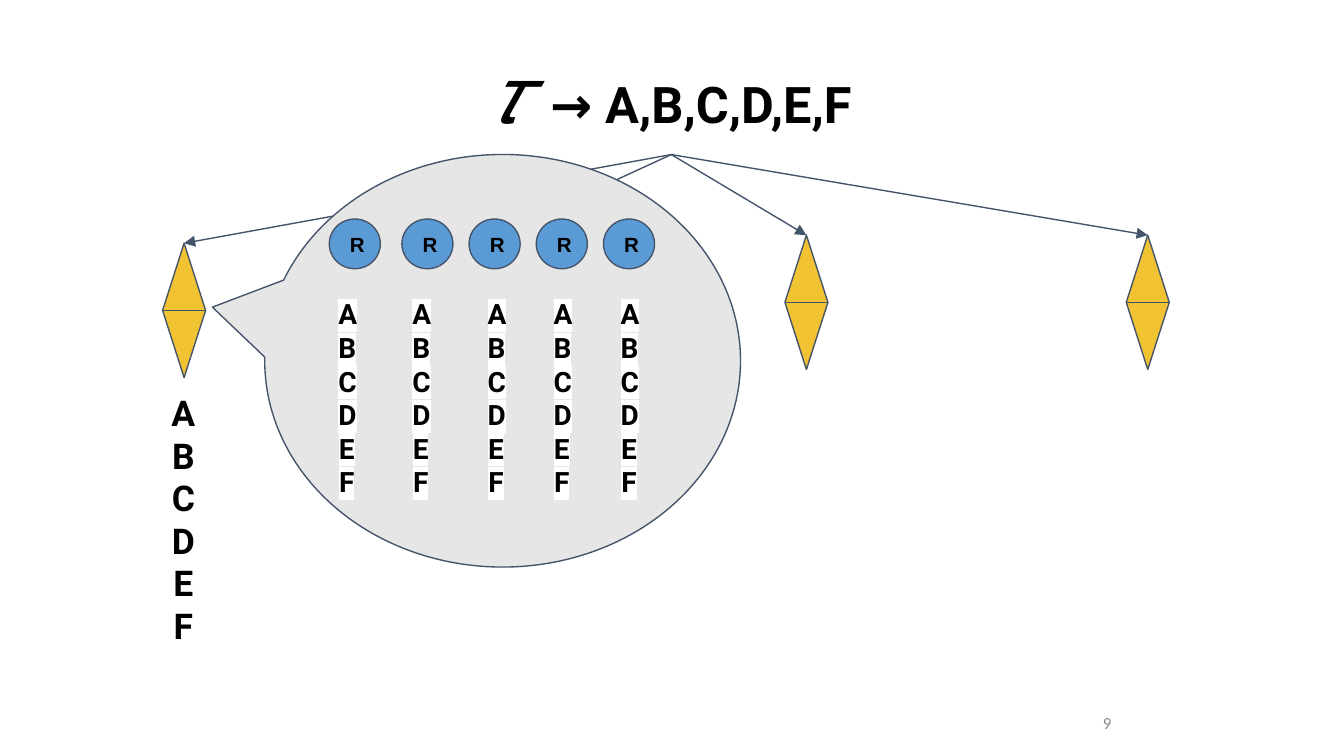
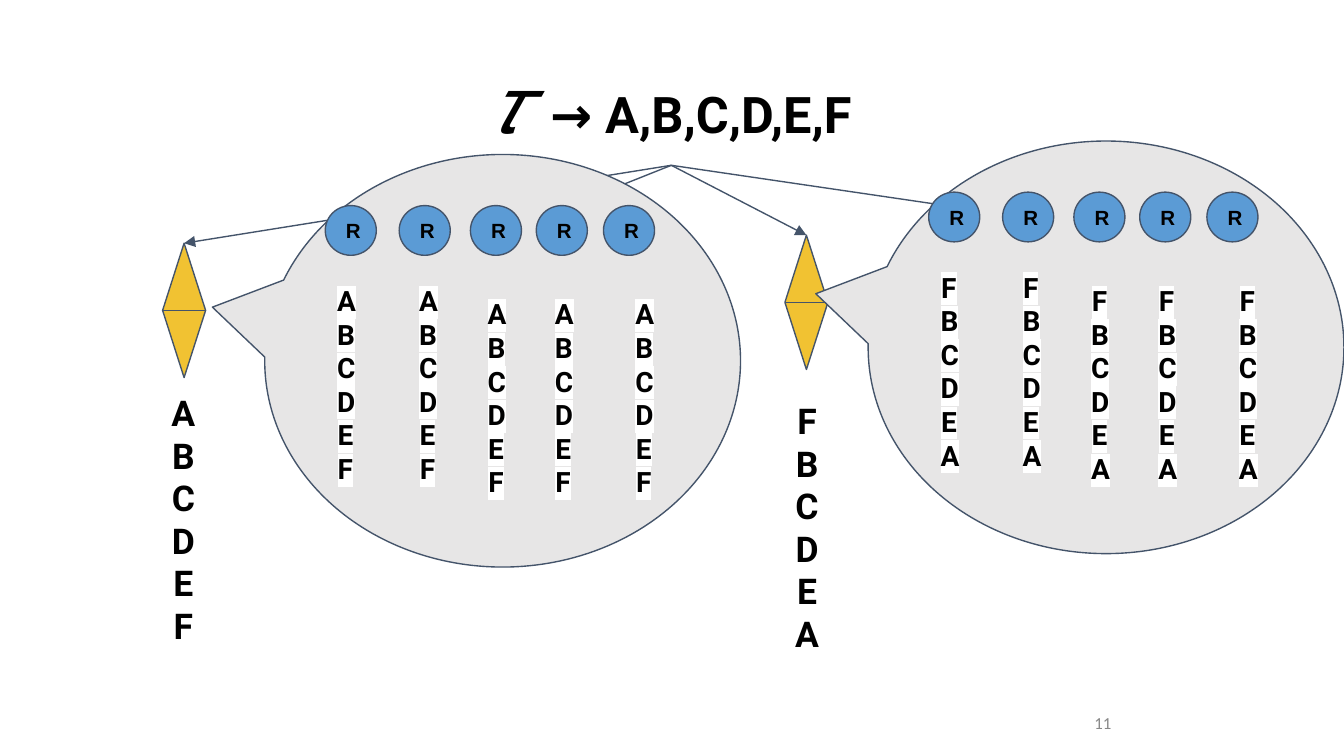
from dataclasses import dataclass

from lxml import etree
from pptx import Presentation
from pptx.dml.color import RGBColor
from pptx.enum.shapes import MSO_CONNECTOR, MSO_SHAPE
from pptx.enum.text import MSO_ANCHOR, MSO_AUTO_SIZE, PP_ALIGN
from pptx.oxml.ns import qn
from pptx.util import Inches, Pt

SORT = MSO_SHAPE.FLOWCHART_SORT
CALLOUT = MSO_SHAPE.OVAL_CALLOUT
OVAL = MSO_SHAPE.OVAL
STRAIGHT = MSO_CONNECTOR.STRAIGHT
MIDDLE = MSO_ANCHOR.MIDDLE
TOP = MSO_ANCHOR.TOP
GROW = MSO_AUTO_SIZE.SHAPE_TO_FIT_TEXT
LEFT, CENTER, RIGHT = PP_ALIGN.LEFT, PP_ALIGN.CENTER, PP_ALIGN.RIGHT

COLORS = {
    "ink": "000000",
    "paper": "FFFFFF",
    "outline": "44546A",
    "node": "F1C232",
    "bubble": "E7E6E6",
    "replica": "5B9BD5",
    "number": "888888",
}
NODES = ((1.21, 1.81), (3.53, 1.75), (5.84, 1.75), (8.38, 1.75))


@dataclass(frozen=True)
class Layout:
    replica_top: float
    replica_lefts: tuple[float, ...]
    order_spots: tuple[tuple[float, float], ...]


@dataclass(frozen=True)
class Bubble:
    left: float
    top: float
    order: str
    layout: Layout


@dataclass(frozen=True)
class Order:
    left: float
    top: float
    letters: str


@dataclass(frozen=True)
class Scene:
    number: str
    title_top: float
    orders: tuple[Order, ...]
    bubbles: tuple[Bubble, ...]


EVEN = Layout(
    0.48,
    (0.48, 1.02, 1.52, 2.02, 2.52),
    ((0.45, 0.96), (1.0, 0.96), (1.56, 0.96), (2.05, 0.96), (2.55, 0.96)),
)
STEPPED = Layout(
    0.38,
    (0.45, 1.0, 1.53, 2.02, 2.52),
    ((0.44, 0.86), (1.05, 0.86), (1.56, 0.96), (2.06, 0.96), (2.66, 0.96)),
)
FIRST_ORDER = Order(1.1, 2.81, "ABCDEF")
SCENES = (
    Scene("9", 0.22, (FIRST_ORDER,), (Bubble(1.97, 1.15, "ABCDEF", EVEN),)),
    Scene(
        "11",
        0.3,
        (FIRST_ORDER, Order(5.74, 2.87, "FBCDEA")),
        (Bubble(6.46, 1.05, "FBCDEA", STEPPED), Bubble(1.97, 1.15, "ABCDEF", STEPPED)),
    ),
)


def rgb(name: str) -> RGBColor:
    return RGBColor.from_string(COLORS[name])


def style_font(font, name: str, size: float, color: str = "ink", bold: bool = True) -> None:
    font.name = name
    font.size = Pt(size)
    font.bold = bold
    font.color.rgb = rgb(color)


def set_frame(frame, anchor=TOP, inset_x: float = 0.1, inset_y: float = 0.1) -> None:
    frame.word_wrap = True
    frame.vertical_anchor = anchor
    frame.margin_left = frame.margin_right = Inches(inset_x)
    frame.margin_top = frame.margin_bottom = Inches(inset_y)


def highlight(span) -> None:
    mark = etree.Element(qn("a:highlight"))
    etree.SubElement(mark, qn("a:srgbClr"), val=COLORS["paper"])
    properties = span.font._element
    fonts = properties.find(qn("a:latin"))
    if fonts is None:
        properties.append(mark)
    else:
        fonts.addprevious(mark)


def add_box(page, left: float, top: float, width: float, height: float):
    return page.shapes.add_textbox(Inches(left), Inches(top), Inches(width), Inches(height))


def add_figure(page, kind, left: float, top: float, width: float, height: float, fill: str):
    figure = page.shapes.add_shape(
        kind, Inches(left), Inches(top), Inches(width), Inches(height)
    )
    figure.shadow.inherit = False
    figure.fill.solid()
    figure.fill.fore_color.rgb = rgb(fill)
    figure.line.color.rgb = rgb("outline")
    figure.line.width = Pt(0.75)
    return figure


def add_number(page, number: str) -> None:
    frame = add_box(page, 7.06, 5.23, 1.28, 0.3).text_frame
    set_frame(frame, MIDDLE, 0.07, 0.04)
    para = frame.paragraphs[0]
    para.text = number
    para.alignment = RIGHT
    style_font(para.font, "Calibri", 9, "number", False)


def add_title(page, top: float):
    box = add_box(page, 2.09, top, 5.81, 0.93)
    set_frame(box.text_frame)
    box.text_frame.auto_size = GROW
    para = box.text_frame.paragraphs[0]
    para.alignment = CENTER
    for text, size, italic in (("𝜏 ", 43, True), ("→ A,B,C,D,E,F", 27, False)):
        span = para.add_run()
        span.text = text
        style_font(span.font, "Roboto", size)
        span.font.italic = italic
        highlight(span)
    return box


def add_order(page, order: Order, width: float, height: float, size: float) -> None:
    frame = add_box(page, order.left, order.top, width, height).text_frame
    set_frame(frame)
    frame.auto_size = GROW
    frame.text = "\n".join(order.letters)
    for para in frame.paragraphs:
        para.alignment = CENTER
        style_font(para.font, "Roboto", size)
        highlight(para.runs[0])


def add_arrow(page, title, node) -> None:
    arrow = page.shapes.add_connector(STRAIGHT, 0, 0, 0, 0)
    arrow.begin_connect(title, 2)
    arrow.end_connect(node, 0)
    arrow.line.color.rgb = rgb("outline")
    arrow.line.width = Pt(0.75)
    etree.SubElement(arrow.line._get_or_add_ln(), qn("a:tailEnd"), type="triangle")
    etree.SubElement(arrow._element.spPr, qn("a:effectLst"))


def add_replica(page, left: float, top: float) -> None:
    frame = add_figure(page, OVAL, left, top, 0.38, 0.37, "replica").text_frame
    set_frame(frame, MIDDLE)
    para = frame.paragraphs[0]
    para.text = "R"
    para.alignment = LEFT
    style_font(para.font, "Arial", 11)


def add_bubble(page, bubble: Bubble) -> None:
    callout = add_figure(page, CALLOUT, bubble.left, bubble.top, 3.54, 3.07, "bubble")
    callout.adjustments[0] = -0.61
    callout.adjustments[1] = -0.13
    for left in bubble.layout.replica_lefts:
        add_replica(page, bubble.left + left, bubble.top + bubble.layout.replica_top)
    for left, top in bubble.layout.order_spots:
        order = Order(bubble.left + left, bubble.top + top, bubble.order)
        add_order(page, order, 0.32, 1.72, 15)


def draw_scene(page, scene: Scene) -> None:
    add_number(page, scene.number)
    title = add_title(page, scene.title_top)
    nodes = [add_figure(page, SORT, left, top, 0.32, 1, "node") for left, top in NODES]
    for node in nodes:
        add_arrow(page, title, node)
    for order in scene.orders:
        add_order(page, order, 0.53, 2.12, 19)
    for bubble in scene.bubbles:
        add_bubble(page, bubble)


def main() -> None:
    deck = Presentation()
    deck.slide_width = Inches(10)
    deck.slide_height = deck.slide_width * 9 // 16
    blank = deck.slide_layouts[6]
    for scene in SCENES:
        draw_scene(deck.slides.add_slide(blank), scene)
    deck.save("out.pptx")


if __name__ == "__main__":
    main()
